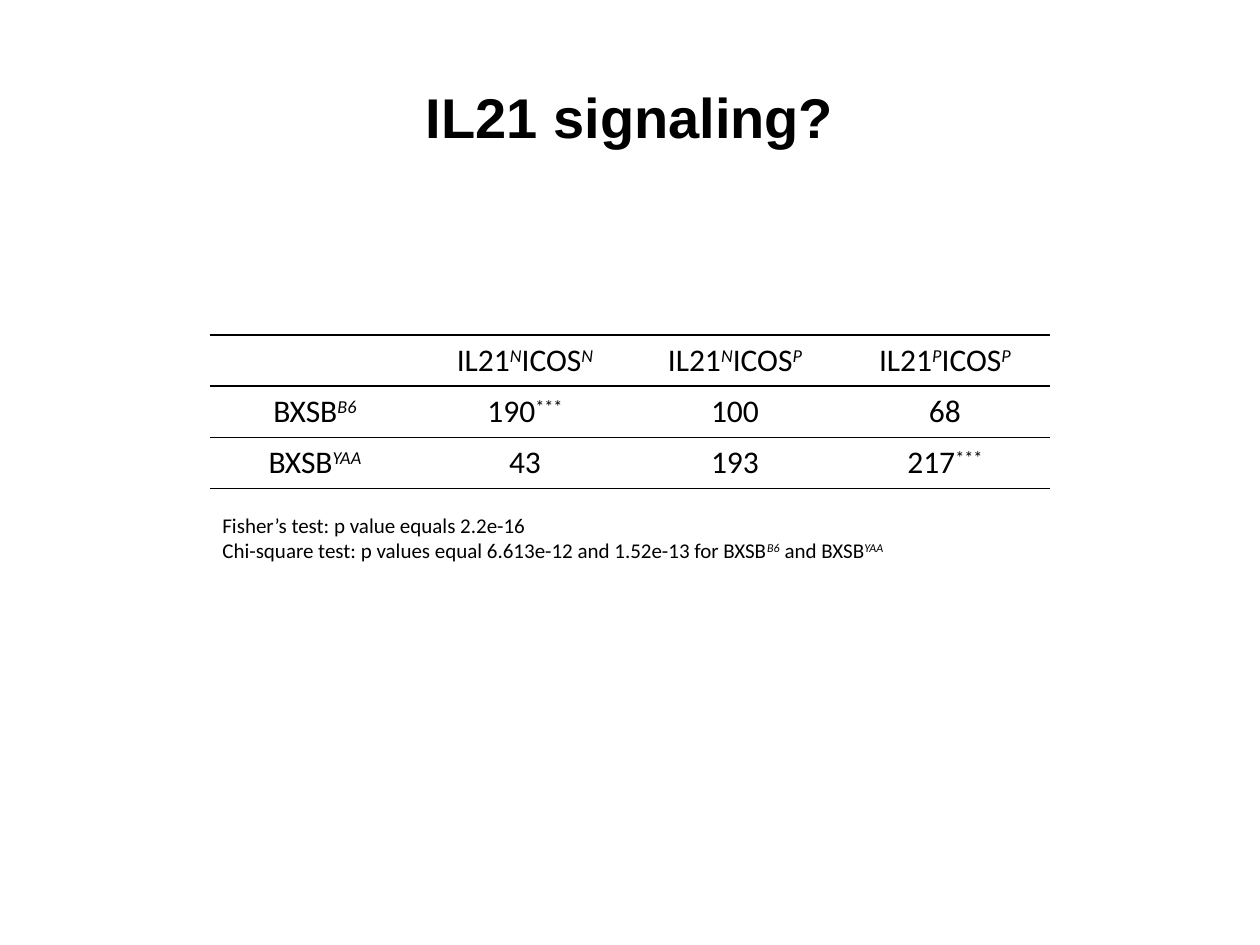
import pptx
import pptx.dml.color
import pptx.enum.text
import pptx.oxml
import pptx.oxml.ns
import pptx.util

Pt = pptx.util.Pt
ALIGN = pptx.enum.text.PP_ALIGN
BLACK = pptx.dml.color.RGBColor(0, 0, 0)
NO_GRID = "{2D5ABB26-0587-4C30-8999-92F81FD0307C}"

ROWS = [
    ["", "IL21^N^ICOS^N", "IL21^N^ICOS^P", "IL21^P^ICOS^P"],
    ["BXSB^B6", "190^***", "100", "68"],
    ["BXSB^YAA", "43", "193", "217^***"],
]
RULES = [1, 1, 0.5, 1]  # line widths from the top of the table down
NOTES = [
    "Fisher’s test: p value equals 2.2e-16",
    "Chi-square test: p values equal 6.613e-12 and 1.52e-13 "
    "for BXSB^B6^ and BXSB^YAA",
]


def write(par, text, size=18, font="Calibri", bold=False, align=ALIGN.LEFT):
    """Fill a paragraph; each ^ turns superscript on or off."""
    par.alignment = align
    par.font.size = Pt(size)
    for i, part in enumerate(text.split("^")):
        if not part:
            continue
        run = par.add_run()
        run.text = part
        run.font.size = Pt(size)
        run.font.name = font
        run.font.bold = bold
        run.font.color.rgb = BLACK
        if i % 2:
            run.font.italic = part.isalnum()
            run.font._element.set("baseline", "30000")


def add_rule(cell, side, width):
    """Draw one border of a cell; side is T or B."""
    line = pptx.oxml.parse_xml(
        f'<a:ln{side} {pptx.oxml.ns.nsdecls("a")} w="{Pt(width)}">'
        f'<a:solidFill><a:srgbClr val="{BLACK}"/></a:solidFill></a:ln{side}>'
    )
    cell._tc.get_or_add_tcPr().append(line)


def add_title(slide, text):
    title = slide.shapes.title
    title.left, title.top = Pt(36), Pt(21.6)
    title.width, title.height = Pt(648), Pt(90)
    title.text_frame.vertical_anchor = pptx.enum.text.MSO_ANCHOR.MIDDLE
    write(title.text_frame.paragraphs[0], text, size=32, font="Arial",
          bold=True, align=ALIGN.CENTER)


def add_counts(slide):
    table = slide.shapes.add_table(
        len(ROWS), len(ROWS[0]), Pt(120), Pt(191.5), Pt(480), Pt(87.6)
    ).table
    table.first_row = table.horz_banding = False
    table._tbl.tblPr.find(pptx.oxml.ns.qn("a:tableStyleId")).text = NO_GRID
    for r, row in enumerate(ROWS):
        for c, text in enumerate(row):
            cell = table.cell(r, c)
            add_rule(cell, "T", RULES[r])
            add_rule(cell, "B", RULES[r + 1])
            cell.fill.background()
            write(cell.text_frame.paragraphs[0], text, align=ALIGN.CENTER)


def add_notes(slide):
    box = slide.shapes.add_textbox(Pt(120), Pt(289.5), Pt(439), Pt(36))
    frame = box.text_frame
    frame.word_wrap = True
    frame.auto_size = pptx.enum.text.MSO_AUTO_SIZE.SHAPE_TO_FIT_TEXT
    for i, note in enumerate(NOTES):
        par = frame.add_paragraph() if i else frame.paragraphs[0]
        write(par, note, size=12)


def main():
    deck = pptx.Presentation()
    deck.slide_width, deck.slide_height = Pt(720), Pt(540)
    slide = deck.slides.add_slide(deck.slide_layouts[5])
    add_title(slide, "IL21 signaling?")
    add_counts(slide)
    add_notes(slide)
    deck.save("out.pptx")


if __name__ == "__main__":
    main()
